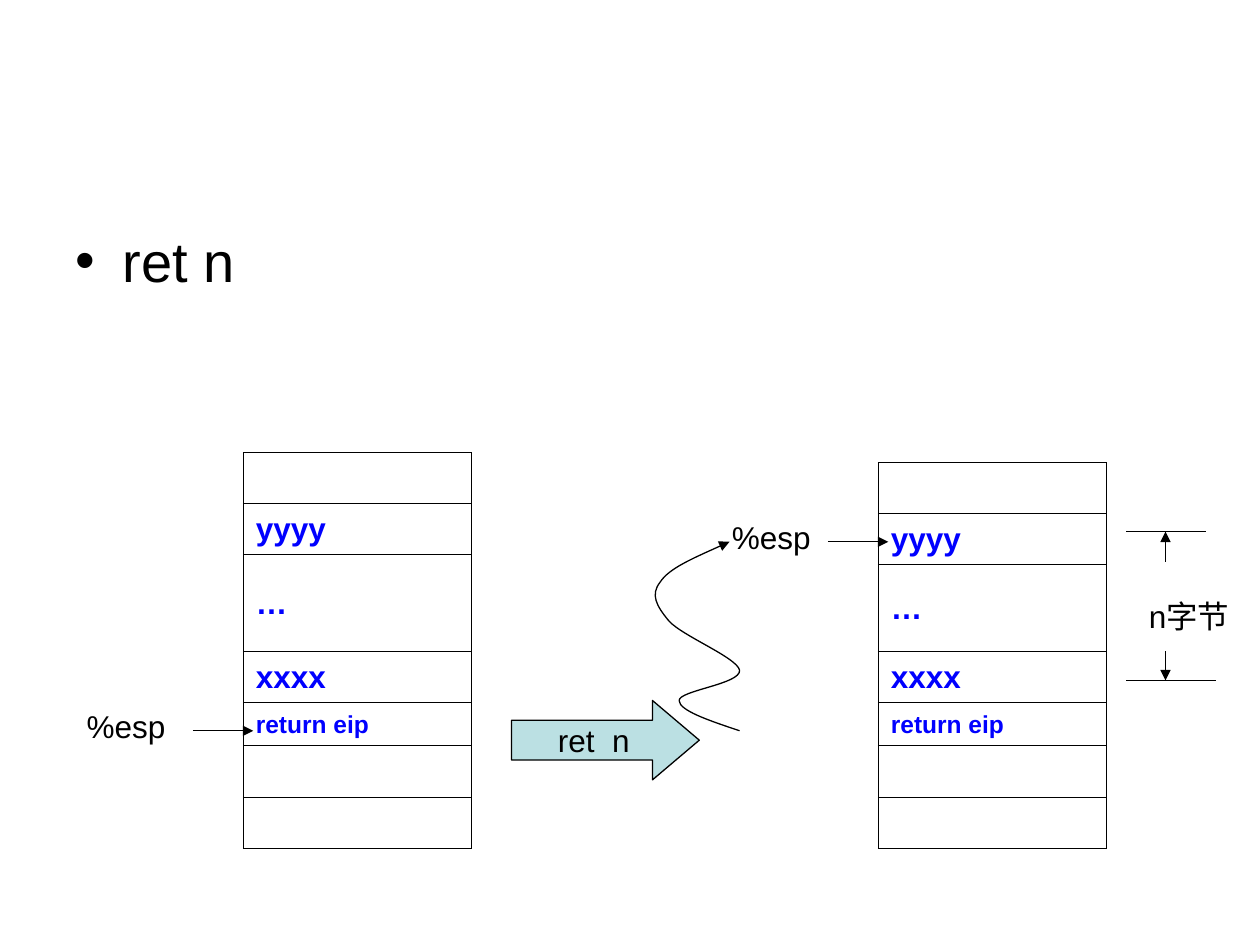
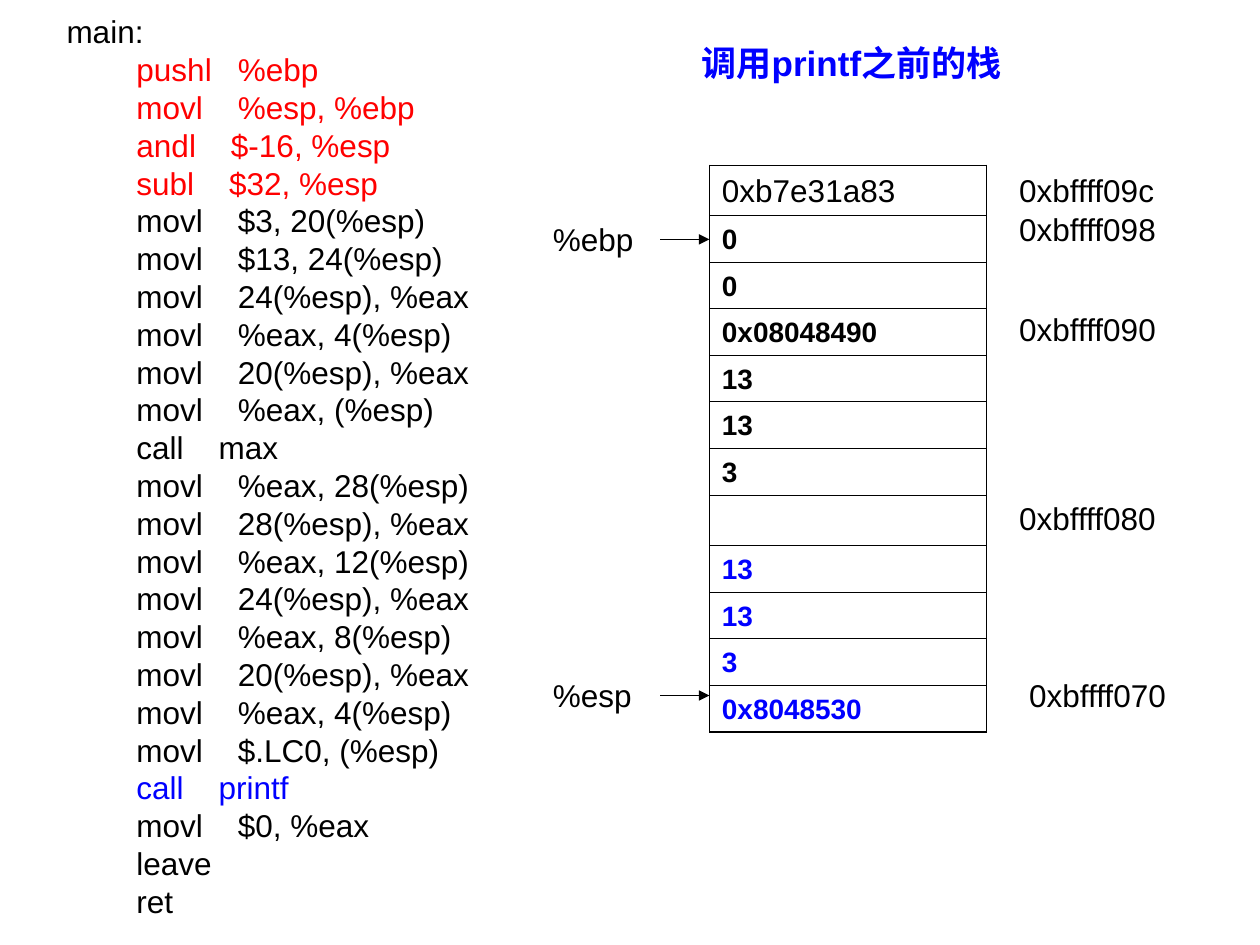
"""Builds two slides on the stack: the effect of ret n, and the frame before a printf call."""
from dataclasses import dataclass

from lxml import etree
from pptx import Presentation
from pptx import util as u
from pptx.dml.color import RGBColor
from pptx.enum import shapes, text
from pptx.oxml import ns

FONT = "Arial"
BLACK = RGBColor(0x00, 0x00, 0x00)
BLUE = RGBColor(0x00, 0x00, 0xFF)
RED = RGBColor(0xFF, 0x00, 0x00)
TEAL = RGBColor(0xBB, 0xE0, 0xE3)
RULE = 0.75
CELL_RULE = 0.45
LAST_RULE = 1.08
LINE_FACTOR = 1.2


@dataclass(frozen=True)
class Slot:
    """One row of a stack drawing."""
    words: str = ""
    height: float = 0.4
    size: float = 18
    color: RGBColor = BLUE
    bold: bool = True


@dataclass(frozen=True)
class Label:
    """A short text beside a stack."""
    words: str
    left: float
    top: float
    width: float
    wrap: bool = True


@dataclass(frozen=True)
class Stroke:
    """A straight line, with or without an arrowhead at its end."""
    x1: float
    y1: float
    x2: float
    y2: float
    arrow: bool = True


def value_slot(words: str, color: RGBColor = BLACK) -> Slot:
    """Describe a row that holds one stack value."""
    return Slot(words, 0.37, 16, color)


def ret_slots(gap: float) -> list[Slot]:
    """List the rows of a stack whose elided part has the given height."""
    return [Slot(), Slot("yyyy"), Slot("…", gap), Slot("xxxx", 0.41),
            Slot("return eip", 0.34, 14), Slot(height=0.41), Slot(height=0.41)]


RET_STACKS = [(1.93, 3.59, ret_slots(0.77)), (6.97, 3.67, ret_slots(0.69))]
RET_LABELS = [Label("%esp", 5.71, 4.06, 0.87), Label("%esp", 0.59, 5.56, 0.87),
              Label("n字节", 9.02, 4.69, 0.98)]
RET_STROKES = [Stroke(1.53, 5.8, 2.01, 5.8), Stroke(6.57, 4.3, 7.05, 4.3),
               Stroke(8.94, 4.22, 9.57, 4.22, False), Stroke(8.94, 5.4, 9.65, 5.4, False),
               Stroke(9.25, 4.46, 9.25, 4.22), Stroke(9.25, 5.17, 9.25, 5.4)]
ESP_CURVE = [(5.87, 5.8), (5.63, 5.72), (5.39, 5.64), (5.39, 5.56),
             (5.39, 5.48), (5.88, 5.43), (5.87, 5.32),
             (5.85, 5.22), (5.42, 5.05), (5.31, 4.93),
             (5.21, 4.81), (5.16, 4.72), (5.24, 4.62),
             (5.31, 4.51), (5.55, 4.41), (5.79, 4.3)]

PRINTF_SLOTS = [Slot("0xb7e31a83", color=BLACK, bold=False),
                *map(value_slot, ["0", "0", "0x08048490", "13", "13", "3"]),
                Slot(),
                *(value_slot(words, BLUE) for words in ["13", "13", "3", "0x8048530"])]
ADDRESSES = [Label("0xbffff09c", 7.99, 1.31, 1.42), Label("0xbffff098", 7.99, 1.62, 1.42),
             Label("0xbffff090", 7.99, 2.41, 1.42), Label("0xbffff080", 7.99, 3.91, 1.3, False),
             Label("0xbffff070", 8.07, 5.32, 1.3, False)]
REGISTERS = [Label("%ebp", 4.29, 1.7, 0.95), Label("%esp", 4.29, 5.32, 0.95)]
STACK_LEFT = 5.63
CODE = """main:
        pushl   %ebp
        movl    %esp, %ebp
        andl    $-16, %esp
        subl    $32, %esp
        movl    $3, 20(%esp)
        movl    $13, 24(%esp)
        movl    24(%esp), %eax
        movl    %eax, 4(%esp)
        movl    20(%esp), %eax
        movl    %eax, (%esp)
        call    max
        movl    %eax, 28(%esp)
        movl    28(%esp), %eax
        movl    %eax, 12(%esp)
        movl    24(%esp), %eax
        movl    %eax, 8(%esp)
        movl    20(%esp), %eax
        movl    %eax, 4(%esp)
        movl    $.LC0, (%esp)
        call    printf
        movl    $0, %eax
        leave
        ret"""
PROLOGUE = range(1, 5)


def write(para, words: str, *, size: float = 18, color: RGBColor = BLACK,
          bold: bool = False, align=text.PP_ALIGN.LEFT) -> None:
    """Put formatted text in a paragraph."""
    para.alignment = align
    para.line_spacing = u.Pt(size * LINE_FACTOR)
    para.space_before = u.Pt(0)
    span = para.add_run()
    span.text = words
    span.font.name = FONT
    span.font.size = u.Pt(size)
    span.font.bold = bold
    span.font.color.rgb = color


def add_box(page, left: float, top: float, width: float, height: float, wrap: bool = True):
    """Add an empty text box."""
    box = page.shapes.add_textbox(*map(u.Inches, (left, top, width, height)))
    box.text_frame.word_wrap = wrap
    return box


def add_label(page, label: Label):
    """Add a one-line label and return its box."""
    box = add_box(page, label.left, label.top, label.width, 0.4, label.wrap)
    write(box.text_frame.paragraphs[0], label.words)
    return box


def style_line(shape, arrow: bool) -> None:
    """Give a shape a thin black line, with an arrowhead if asked."""
    shape.line.color.rgb = BLACK
    shape.line.width = u.Pt(RULE)
    if arrow:
        outline = shape.line._get_or_add_ln()
        etree.SubElement(outline, ns.qn("a:tailEnd"), type="triangle")


def add_stroke(page, stroke: Stroke):
    """Add a straight connector."""
    ends = map(u.Inches, (stroke.x1, stroke.y1, stroke.x2, stroke.y2))
    line = page.shapes.add_connector(shapes.MSO_CONNECTOR.STRAIGHT, *ends)
    style_line(line, stroke.arrow)
    etree.SubElement(line.element.spPr, ns.qn("a:effectLst"))
    return line


def add_border(cell, side: str, width: float) -> None:
    """Draw one side of a table cell."""
    border = etree.SubElement(cell._tc.get_or_add_tcPr(), ns.qn(f"a:ln{side}"), w=str(u.Pt(width)))
    fill = etree.SubElement(border, ns.qn("a:solidFill"))
    etree.SubElement(fill, ns.qn("a:srgbClr"), val=str(BLACK))


def add_stack(page, left: float, top: float, width: float, slots: list[Slot]) -> None:
    """Draw a stack as a table of one column."""
    height = sum(slot.height for slot in slots)
    frame = page.shapes.add_table(len(slots), 1, *map(u.Inches, (left, top, width, height)))
    table = frame.table
    table.first_row = table.horz_banding = False
    for index, slot in enumerate(slots):
        table.rows[index].height = u.Inches(slot.height)
        cell = table.cell(index, 0)
        for side in "LRTB":
            last = side == "B" and index == len(slots) - 1
            add_border(cell, side, LAST_RULE if last else CELL_RULE)
        cell.fill.background()
        cell.vertical_anchor = text.MSO_ANCHOR.MIDDLE
        if slot.words:
            write(cell.text_frame.paragraphs[0], slot.words,
                  size=slot.size, color=slot.color, bold=slot.bold)


def add_curve(page, points: list[tuple[float, float]]) -> None:
    """Draw an open Bezier curve that ends in an arrowhead."""
    start, *rest = [(u.Inches(x), u.Inches(y)) for x, y in points]
    builder = page.shapes.build_freeform(*start)
    builder.add_line_segments(rest, close=False)
    curve = builder.convert_to_shape()
    curve.shadow.inherit = False
    curve.fill.background()
    style_line(curve, True)
    steps = list(curve.element.iter(ns.qn("a:lnTo")))
    for first in range(0, len(steps), 3):
        bend = etree.Element(ns.qn("a:cubicBezTo"))
        steps[first].addprevious(bend)
        for step in steps[first:first + 3]:
            bend.append(step[0])
            step.getparent().remove(step)


def add_ret_arrow(page) -> None:
    """Draw the block arrow between the two stacks."""
    arrow = page.shapes.add_shape(shapes.MSO_SHAPE.RIGHT_ARROW,
                                  *map(u.Inches, (4.06, 5.56, 1.49, 0.63)))
    arrow.adjustments[1] = 0.59
    arrow.shadow.inherit = False
    arrow.fill.solid()
    arrow.fill.fore_color.rgb = TEAL
    style_line(arrow, False)
    arrow.text_frame.word_wrap = False
    arrow.text_frame.vertical_anchor = text.MSO_ANCHOR.MIDDLE
    write(arrow.text_frame.paragraphs[0], "ret  n", align=text.PP_ALIGN.CENTER)


def build_ret_slide(deck) -> None:
    """Show the stack before and after ret n."""
    page = deck.slides.add_slide(deck.slide_layouts.get_by_name("Title and Content"))
    title = page.shapes.title.element
    title.getparent().remove(title)
    body = page.placeholders[1]
    body.left, body.top, body.width, body.height = map(u.Inches, (0.5, 1.75, 9, 0.98))
    body.text_frame.auto_size = text.MSO_AUTO_SIZE.NONE
    write(body.text_frame.paragraphs[0], "ret n", size=32)
    for left, top, slots in RET_STACKS:
        add_stack(page, left, top, 1.81, slots)
    for stroke in RET_STROKES:
        add_stroke(page, stroke)
    for label in RET_LABELS:
        add_label(page, label)
    add_ret_arrow(page)
    add_curve(page, ESP_CURVE)


def add_code(page) -> None:
    """List the assembly code, with the prologue and the printf call in colour."""
    frame = add_box(page, 0.43, 0.05, 3.62, 7.3).text_frame
    for index, line in enumerate(CODE.splitlines()):
        para = frame.add_paragraph() if index else frame.paragraphs[0]
        color = RED if index in PROLOGUE else BLUE if "printf" in line else BLACK
        write(para, line, color=color)


def build_printf_slide(deck) -> None:
    """Show the code of main and the stack before printf is called."""
    page = deck.slides.add_slide(deck.slide_layouts.get_by_name("Blank"))
    add_code(page)
    heading = add_box(page, 5.47, 0.28, 2.6, 0.77)
    write(heading.text_frame.paragraphs[0], "调用printf之前的栈", size=20, color=BLUE, bold=True)
    add_stack(page, STACK_LEFT, 1.31, 2.2, PRINTF_SLOTS)
    for label in ADDRESSES:
        add_label(page, label)
    for label in REGISTERS:
        box = add_label(page, label)
        middle = label.top + 0.2
        pointer = add_stroke(page, Stroke(label.left + label.width, middle, STACK_LEFT, middle))
        pointer.begin_connect(box, 3)


def main() -> None:
    """Build and save the deck."""
    deck = Presentation()
    deck.slide_width, deck.slide_height = u.Inches(10), u.Inches(7.5)
    build_ret_slide(deck)
    build_printf_slide(deck)
    deck.save("out.pptx")


if __name__ == "__main__":
    main()
